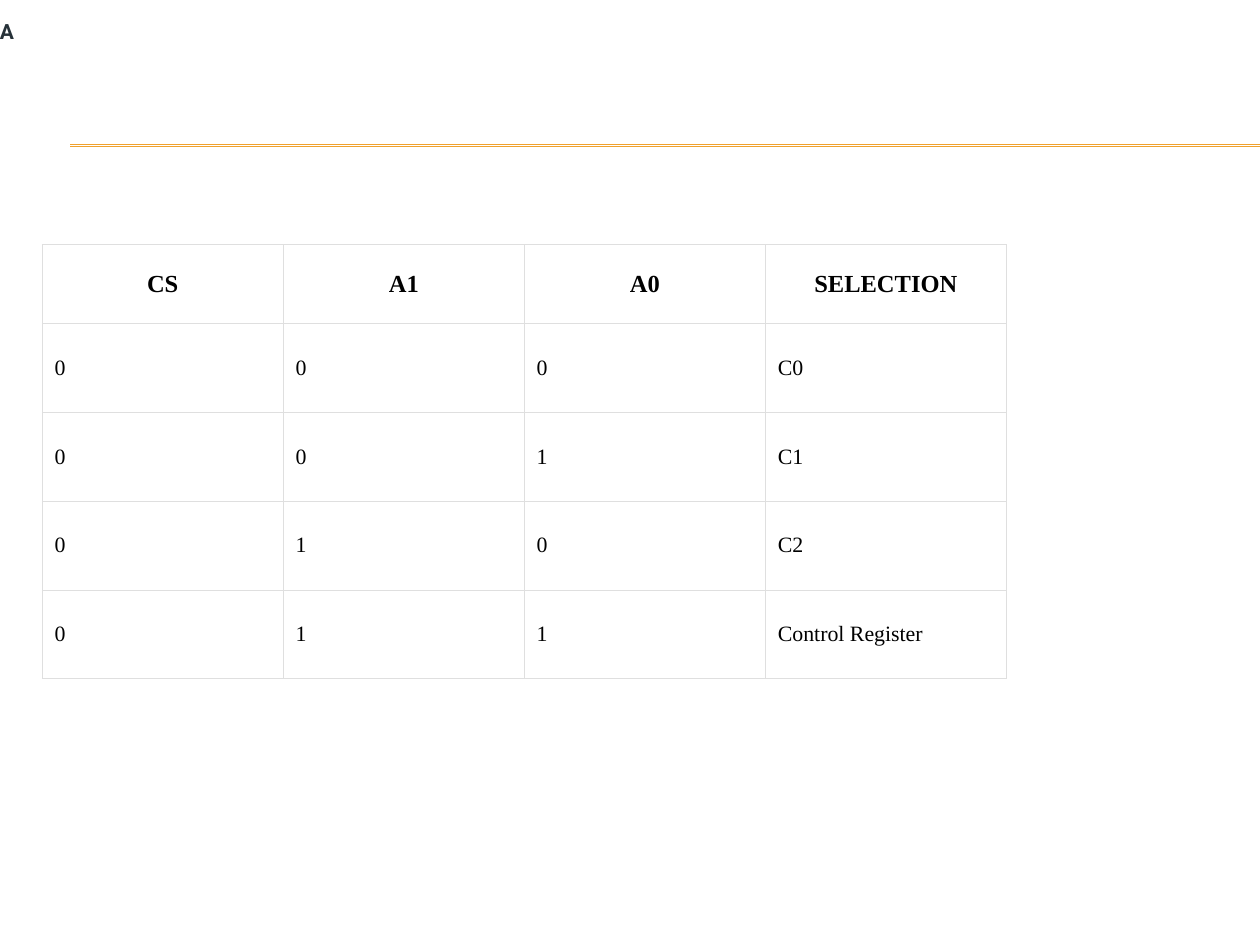
from lxml import etree
from pptx import Presentation
from pptx.dml.color import RGBColor
from pptx.enum.shapes import MSO_CONNECTOR, MSO_SHAPE
from pptx.enum.text import MSO_ANCHOR, PP_ALIGN
from pptx.oxml.ns import qn
from pptx.util import Cm, Pt

LINE, RECT = MSO_CONNECTOR.STRAIGHT, MSO_SHAPE.RECTANGLE
LEFT, CENTER, MIDDLE = PP_ALIGN.LEFT, PP_ALIGN.CENTER, MSO_ANCHOR.MIDDLE

# Content
LABEL = "A"
ROWS = [
    ("CS", "A1", "A0", "SELECTION"),
    ("0", "0", "0", "C0"),
    ("0", "0", "1", "C1"),
    ("0", "1", "0", "C2"),
    ("0", "1", "1", "Control Register"),
]
GOLD, GREY, SLATE, BLACK, WHITE = "F0A22E", "DFDFDF", "273239", "000000", "FFFFFF"

# Sizes in cm
WIDTH, HEIGHT = 25.4, 19.05
RULES = (2.92, 2.95)
COL, HEAD, BODY = 4.86, 1.59, 1.79


def paint(fmt, color):
    fmt.solid()
    fmt.fore_color.rgb = RGBColor.from_string(color)


def write(frame, text, font="Times New Roman", size=12.5, color=BLACK,
          bold=False, align=LEFT):
    para = frame.paragraphs[0]
    para.alignment = align
    run = para.add_run()
    run.text = text
    run.font.name, run.font.size, run.font.bold = font, Pt(size), bold
    paint(run.font.fill, color)


def inset(box, side, edge):
    box.margin_left = box.margin_right = Cm(side)
    box.margin_top = box.margin_bottom = Cm(edge)
    box.vertical_anchor = MIDDLE


def border(cell, color, width):
    props = cell._tc.get_or_add_tcPr()
    for i, tag in enumerate(("a:lnL", "a:lnR", "a:lnT", "a:lnB")):
        line = etree.Element(qn(tag), w=str(Pt(width)))
        fill = etree.SubElement(line, qn("a:solidFill"))
        etree.SubElement(fill, qn("a:srgbClr"), val=color)
        props.insert(i, line)


def main():
    prs = Presentation()
    prs.slide_width, prs.slide_height = Cm(WIDTH), Cm(HEIGHT)
    slide = prs.slides.add_slide(prs.slide_layouts[6])
    paint(slide.background.fill, WHITE)
    shapes = slide.shapes

    # Double gold rule
    for y in RULES:
        rule = shapes.add_connector(LINE, Cm(1.42), Cm(y), Cm(WIDTH), Cm(y))
        paint(rule.line.fill, GOLD)
        rule.line.width = Pt(0.75)
        etree.SubElement(rule._element.spPr, qn("a:effectLst"))

    # Selection table
    high = HEAD + BODY * (len(ROWS) - 1)
    wide = COL * len(ROWS[0])
    table = shapes.add_table(len(ROWS), len(ROWS[0]), Cm(0.85), Cm(4.93),
                             Cm(wide), Cm(high)).table
    table.horz_banding = False
    for col in table.columns:
        col.width = Cm(COL)
    for r, row in enumerate(ROWS):
        head = r == 0
        table.rows[r].height = Cm(HEAD if head else BODY)
        for c, text in enumerate(row):
            cell = table.cell(r, c)
            inset(cell, 0.1 if head and c == 0 else 0.25, 0.25 if head else 0.38)
            cell.fill.background()
            border(cell, GREY, 0.23)
            write(cell.text_frame, text, size=14 if head else 12.5, bold=head,
                  align=CENTER if head else LEFT)

    # Corner label
    box = shapes.add_shape(RECT, 0, Cm(0.38), Cm(20.47), Cm(0.51))
    box.shadow.inherit = False
    paint(box.fill, WHITE)
    box.line.fill.background()
    inset(box.text_frame, 0, 0)
    box.text_frame.word_wrap = True
    write(box.text_frame, LABEL, font="Roboto", size=12, color=SLATE, bold=True)

    prs.save("out.pptx")


if __name__ == "__main__":
    main()
